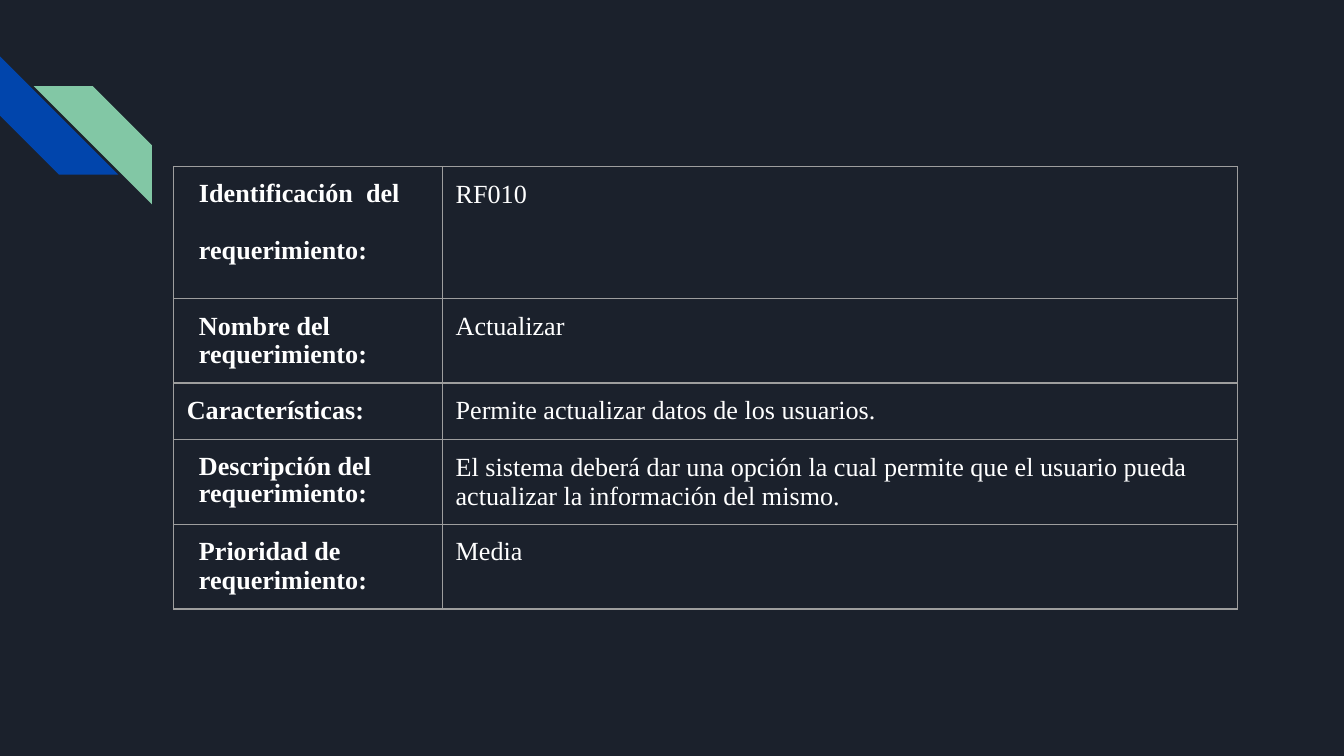
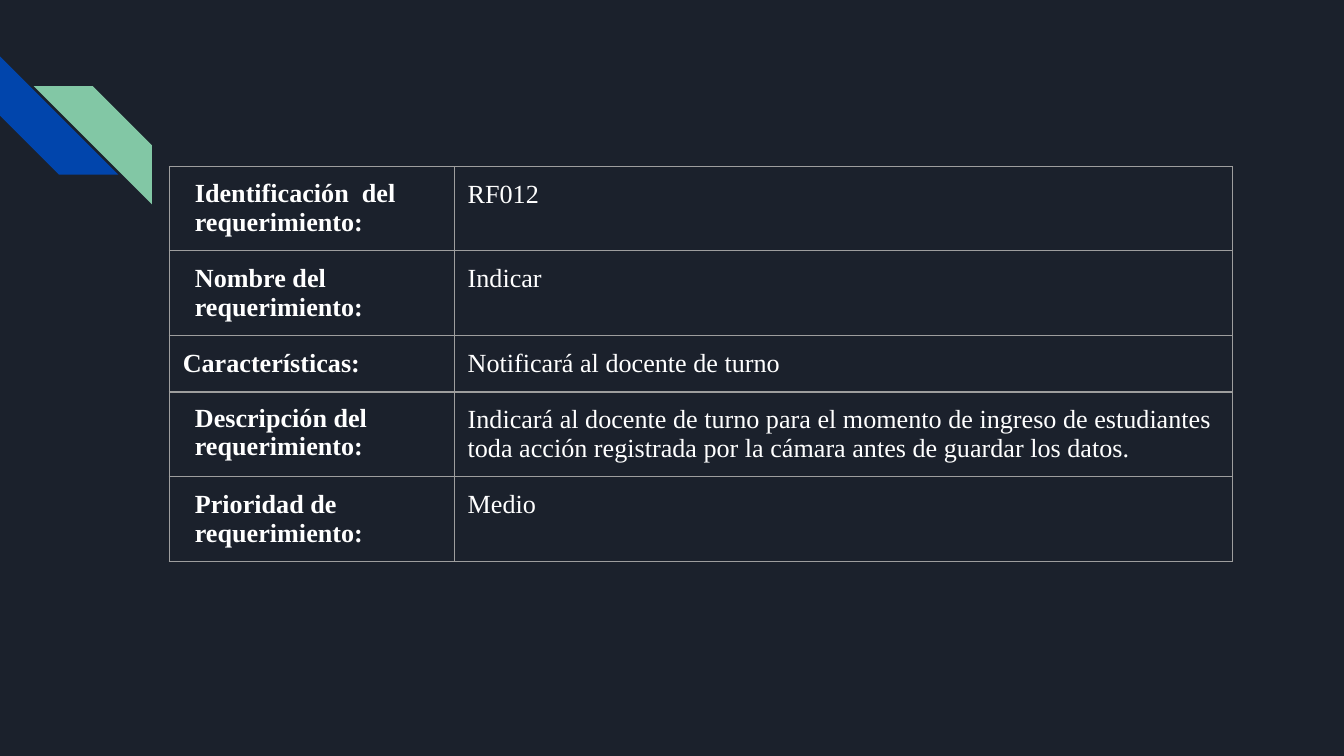
import pptx
import pptx.dml.color
import pptx.enum.shapes
import pptx.oxml
import pptx.oxml.ns
import pptx.util
from pptx.util import Inches

NIGHT, BLUE, GREEN, WHITE, GRAY = "1B212C", "0145AC", "82C7A5", "FFFFFF", "9E9E9E"
FONT = "Times New Roman"
SLIDE_WIDTH = Inches(10)
SLIDE_HEIGHT = SLIDE_WIDTH * 9 // 16
TABLE_TOP = 1.24
CELL_MARGIN = 0.1
LABEL_INDENT = 0.09

# Each label: its paragraphs, left indent, line spacing of the first paragraph
LABELS = [
    (["Identificación  del", "requerimiento:"], LABEL_INDENT, 0.96),
    (["Nombre del", "requerimiento:"], LABEL_INDENT, None),
    (["Características:"], 0, None),
    (["Descripción del  requerimiento:"], LABEL_INDENT, 0.96),
    (["Prioridad de", "requerimiento:"], LABEL_INDENT, None),
]

REQUIREMENTS = [
    {
        "left": 1.29,
        "columns": [2, 5.92],
        "rows": [0.98, 0.55, 0.42, 0.42, 0.42],
        "id_gap": 15,
        "values": [
            "RF010",
            "Actualizar",
            "Permite actualizar datos de los usuarios.",
            "El sistema deberá dar una opción la cual permite que el usuario pueda "
            "actualizar la información del mismo.",
            "Media",
        ],
    },
    {
        "left": 1.26,
        "columns": [2.12, 5.79],
        "rows": [0.42] * 5,
        "id_gap": 0.3,
        "values": [
            "RF012",
            "Indicar",
            "Notificará al docente de turno",
            "Indicará al docente de turno para el momento de ingreso de estudiantes  "
            "toda acción registrada por la cámara antes de guardar los datos.",
            "Medio",
        ],
    },
]


def paint(fill, color):
    fill.solid()
    fill.fore_color.rgb = pptx.dml.color.RGBColor.from_string(color)


def write(paragraph, text, bold=False, indent=0, line_spacing=None, space_before=0):
    run = paragraph.add_run()
    run.text = text
    run.font.name = FONT
    run.font.size = pptx.util.Pt(14)
    run.font.bold = bold
    paint(run.font.fill, WHITE)
    paragraph.space_before = pptx.util.Pt(space_before)
    if line_spacing:
        paragraph.line_spacing = line_spacing
    properties = paragraph._p.get_or_add_pPr()
    properties.set("marL", str(Inches(indent)))
    properties.set("indent", "0")


def add_stripe(slide, left, top, color, rotation=0, mirrored=False):
    stripe = slide.shapes.add_shape(
        pptx.enum.shapes.MSO_SHAPE.DIAGONAL_STRIPE,
        Inches(left), Inches(top), Inches(0.88), Inches(0.88))
    stripe.adjustments[0] = 0.5
    stripe.rotation = rotation
    stripe.shadow.inherit = False
    paint(stripe.fill, color)
    stripe.line.fill.background()
    if mirrored:
        stripe._element.spPr.xfrm.set("flipH", "1")


def format_cell(cell):
    cell.margin_left = cell.margin_right = Inches(CELL_MARGIN)
    cell.margin_top = cell.margin_bottom = Inches(CELL_MARGIN)
    cell.fill.background()
    properties = cell._tc.get_or_add_tcPr()
    for position, side in enumerate("LRTB"):
        border = pptx.oxml.parse_xml(
            f'<a:ln{side} {pptx.oxml.ns.nsdecls("a")} w="{pptx.util.Pt(0.75)}">'
            f'<a:solidFill><a:srgbClr val="{GRAY}"/></a:solidFill></a:ln{side}>')
        properties.insert(position, border)


def add_requirement_table(slide, requirement):
    columns, rows = requirement["columns"], requirement["rows"]
    table = slide.shapes.add_table(
        len(rows), len(columns), Inches(requirement["left"]), Inches(TABLE_TOP),
        Inches(sum(columns)), Inches(sum(rows))).table
    table.first_row = table.horz_banding = False
    for column, width in zip(table.columns, columns):
        column.width = Inches(width)
    for row, height in zip(table.rows, rows):
        row.height = Inches(height)
    for cell in table.iter_cells():
        format_cell(cell)

    for index, (lines, indent, spacing) in enumerate(LABELS):
        label, value = table.rows[index].cells
        for number, line in enumerate(lines):
            frame = label.text_frame
            paragraph = frame.add_paragraph() if number else frame.paragraphs[0]
            write(paragraph, line, bold=True, indent=indent,
                  line_spacing=None if number else spacing,
                  space_before=requirement["id_gap"] if number and index == 0 else 0)
        write(value.text_frame.paragraphs[0], requirement["values"][index])


def main():
    deck = pptx.Presentation()
    deck.slide_width, deck.slide_height = SLIDE_WIDTH, SLIDE_HEIGHT
    paint(deck.slide_master.background.fill, NIGHT)
    blank = deck.slide_layouts.get_by_name("Blank")
    for requirement in REQUIREMENTS:
        slide = deck.slides.add_slide(blank)
        add_stripe(slide, 0, 0.42, BLUE, rotation=270)
        add_stripe(slide, 0.25, 0.64, GREEN, mirrored=True)
        add_requirement_table(slide, requirement)
    deck.save("out.pptx")


if __name__ == "__main__":
    main()
